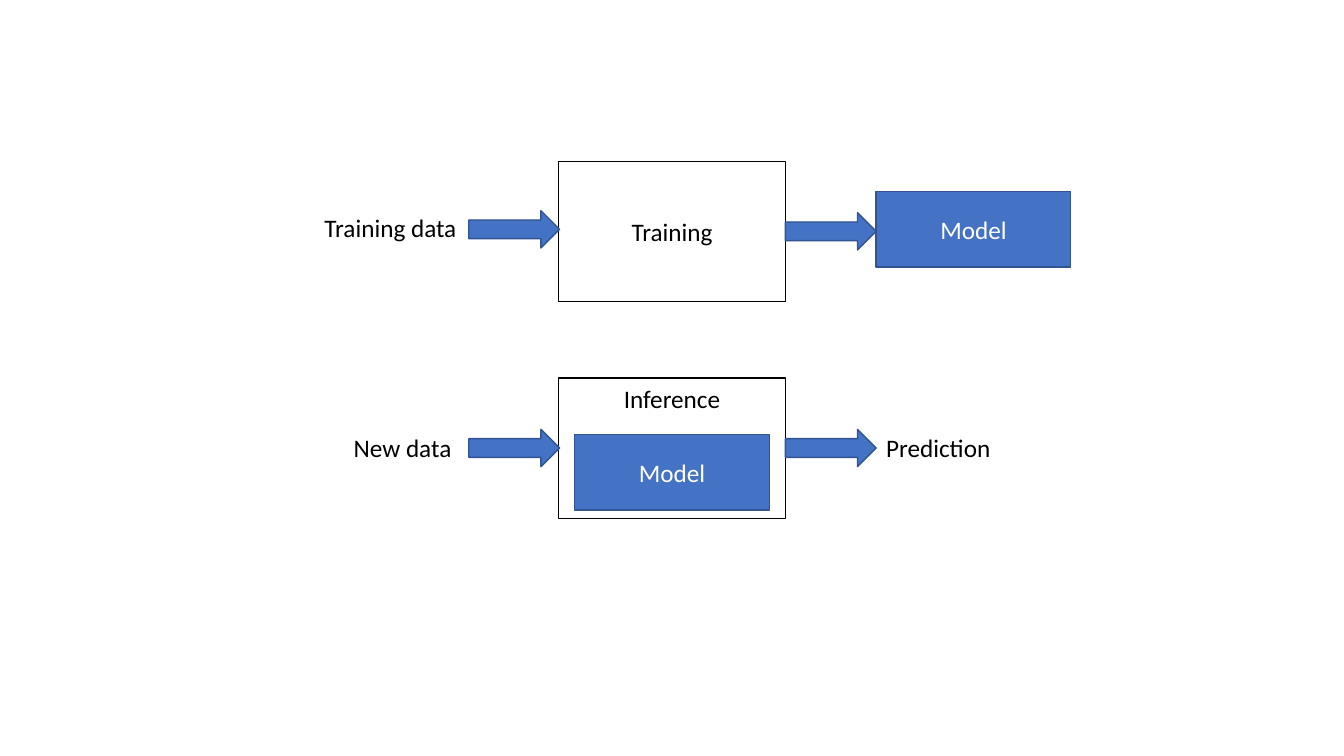
import pptx
import pptx.util
from pptx.dml.color import RGBColor
from pptx.enum.shapes import MSO_SHAPE
from pptx.enum.text import MSO_ANCHOR, PP_ALIGN
from pptx.util import Inches

BLACK = RGBColor(0x00, 0x00, 0x00)
WHITE = RGBColor(0xFF, 0xFF, 0xFF)
BLUE = RGBColor(0x44, 0x72, 0xC4)
DARK_BLUE = RGBColor(0x32, 0x54, 0x91)

STAGE_LEFT, STAGE_W, STAGE_H = 5.54, 2.25, 1.39
MODEL_W, MODEL_H = 1.93, 0.75
ARROW_W, ARROW_H = 0.9, 0.37
LABEL_H = 0.4
INPUT_LEFT = 4.65
OUTPUT_LEFT = STAGE_LEFT + STAGE_W
RESULT_LEFT = OUTPUT_LEFT + ARROW_W

# text, top, anchor
STAGES = [
    ("Training", 1.6, MSO_ANCHOR.MIDDLE),
    ("Inference", 3.75, MSO_ANCHOR.TOP),
]
# left, top
MODELS = [
    (RESULT_LEFT, 1.9),
    (STAGE_LEFT + (STAGE_W - MODEL_W) / 2, 4.31),
]
ARROWS = [
    (INPUT_LEFT, 2.09),
    (OUTPUT_LEFT, 2.11),
    (INPUT_LEFT, 4.26),
    (OUTPUT_LEFT, 4.26),
]
# text, left, top, width
LABELS = [
    ("Training data", 3.12, 2.06, 1.53),
    ("New data", 3.41, 4.24, 1.23),
    ("Prediction", RESULT_LEFT, 4.24, 1.35),
]


def write(shape, text, color, align, anchor):
    tf = shape.text_frame
    tf.vertical_anchor = anchor
    p = tf.paragraphs[0]
    p.text = text
    p.alignment = align
    p.font.name = "Calibri"
    p.font.size = pptx.util.Pt(18)
    p.font.color.rgb = color


def add_block(s, kind, left, top, width, height, fill, line, line_width):
    """Add a flat shape; a fill of None leaves it open."""
    sp = s.shapes.add_shape(kind, Inches(left), Inches(top), Inches(width), Inches(height))
    sp.shadow.inherit = False
    if fill is None:
        sp.fill.background()
    else:
        sp.fill.solid()
        sp.fill.fore_color.rgb = fill
    sp.line.color.rgb = line
    sp.line.width = pptx.util.Pt(line_width)
    return sp


def main():
    prs = pptx.Presentation()
    prs.slide_width, prs.slide_height = Inches(13.33), Inches(7.5)
    s = prs.slides.add_slide(prs.slide_layouts[6])

    for text, top, anchor in STAGES:
        sp = add_block(s, MSO_SHAPE.RECTANGLE, STAGE_LEFT, top, STAGE_W, STAGE_H,
                       None, BLACK, 0.75)
        write(sp, text, BLACK, PP_ALIGN.CENTER, anchor)

    for left, top in MODELS:
        sp = add_block(s, MSO_SHAPE.RECTANGLE, left, top, MODEL_W, MODEL_H,
                       BLUE, DARK_BLUE, 1)
        write(sp, "Model", WHITE, PP_ALIGN.CENTER, MSO_ANCHOR.MIDDLE)

    for left, top in ARROWS:
        add_block(s, MSO_SHAPE.RIGHT_ARROW, left, top, ARROW_W, ARROW_H,
                  BLUE, DARK_BLUE, 1)

    for text, left, top, width in LABELS:
        box = s.shapes.add_textbox(Inches(left), Inches(top), Inches(width), Inches(LABEL_H))
        write(box, text, BLACK, PP_ALIGN.LEFT, MSO_ANCHOR.TOP)

    prs.save("out.pptx")


if __name__ == "__main__":
    main()
